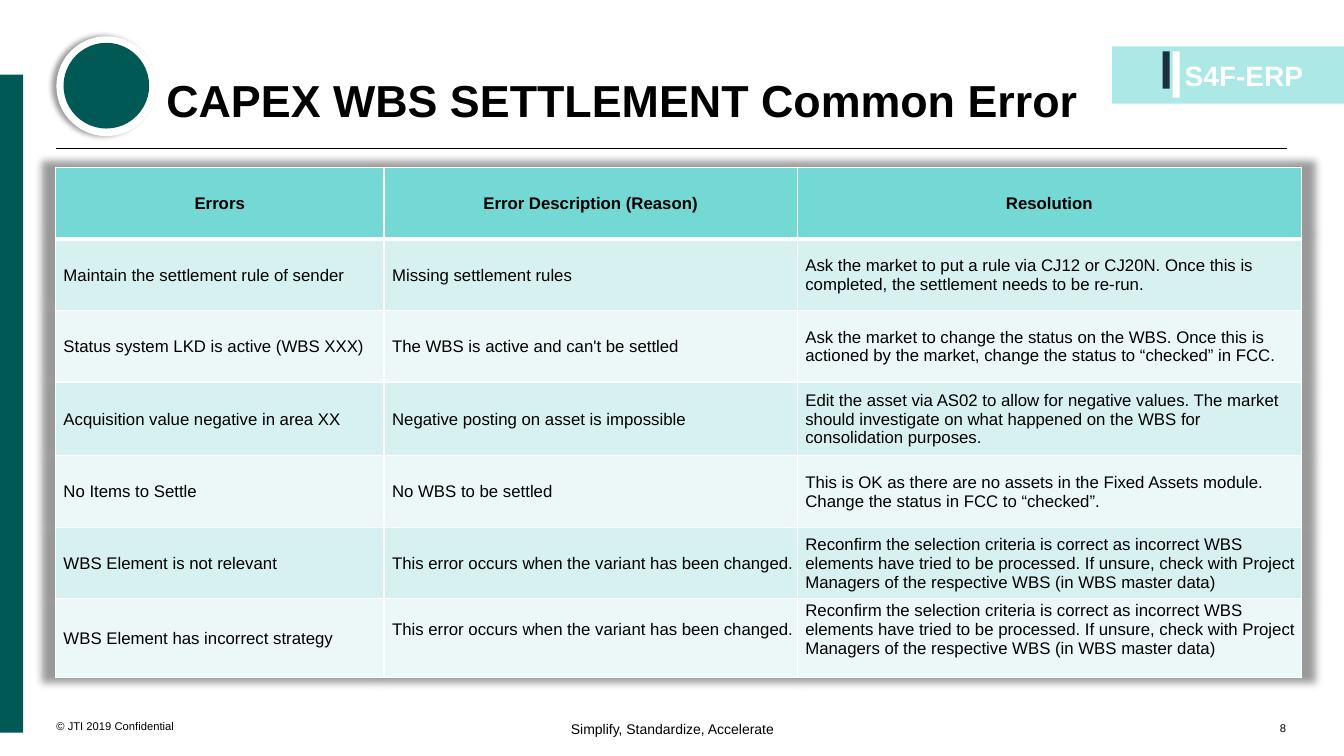
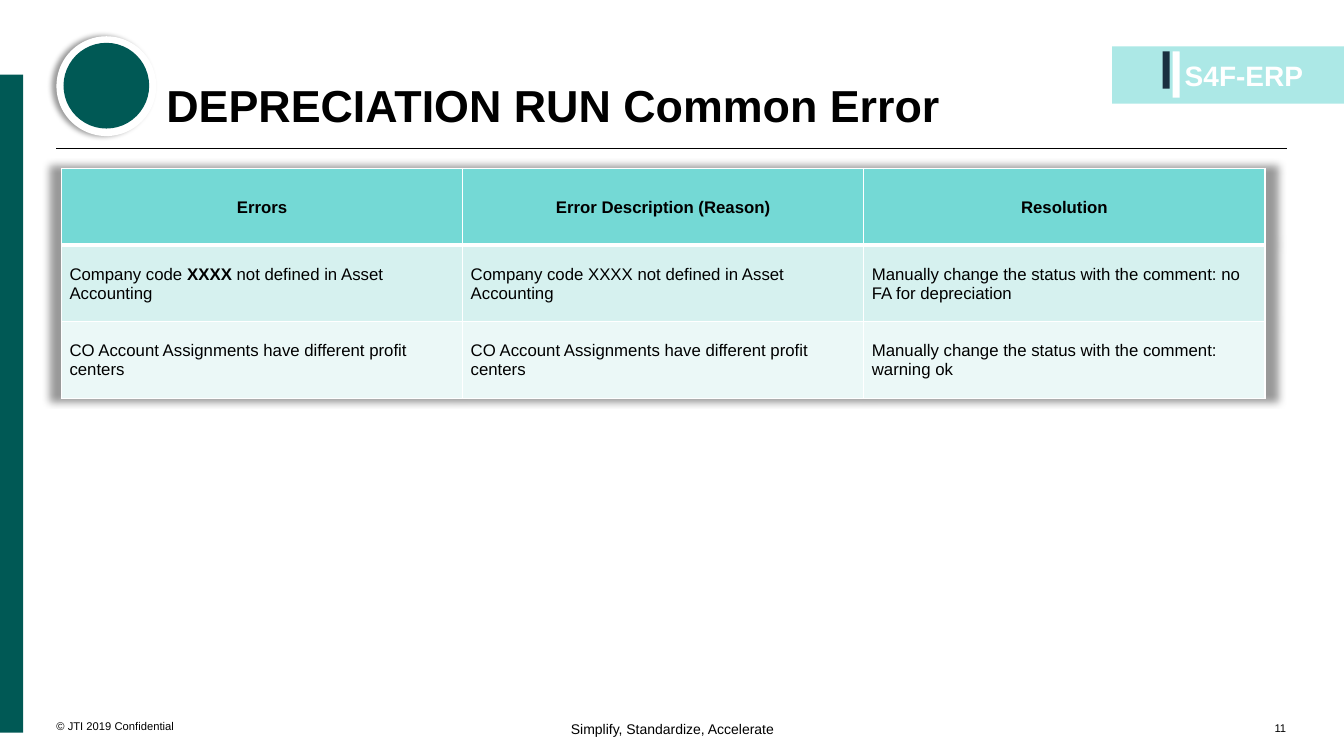
import collections

import pptx
import pptx.dml.color
import pptx.enum.shapes
import pptx.enum.text
import pptx.oxml
import pptx.oxml.ns
import pptx.util

RGBColor = pptx.dml.color.RGBColor
SHAPE = pptx.enum.shapes.MSO_SHAPE
ANCHOR = pptx.enum.text.MSO_ANCHOR
ALIGN = pptx.enum.text.PP_ALIGN

BLACK = RGBColor(0x00, 0x00, 0x00)
WHITE = RGBColor(0xFF, 0xFF, 0xFF)
GREEN = RGBColor(0x00, 0x59, 0x55)
NAVY = RGBColor(0x1A, 0x30, 0x40)
AQUA = RGBColor(0xAC, 0xE8, 0xE6)
HEADER = RGBColor(0x74, 0xD9, 0xD5)
BANDS = (RGBColor(0xD6, 0xF1, 0xEF), RGBColor(0xEB, 0xF8, 0xF7))

FONT = "Arial"
COLS, ROWS = 133.33, 75
UNIT = pptx.util.Inches(0.1)
HEADINGS = ("Errors", "Error Description (Reason)", "Resolution")
VARIANT = "This error occurs when the variant has been changed."
RECONFIRM = (
    "Reconfirm the selection criteria is correct as incorrect WBS elements have tried "
    "to be processed. If unsure, check with Project Managers of the respective WBS "
    "(in WBS master data)"
)
CAPEX = (
    ("Maintain the settlement rule of sender", "Missing settlement rules",
     "Ask the market to put a rule via CJ12 or CJ20N. Once this is completed, "
     "the settlement needs to be re-run."),
    ("Status system LKD is active (WBS XXX)", "The WBS is active and can't be settled",
     "Ask the market to change the status on the WBS. Once this is actioned by the "
     "market, change the status to “checked” in FCC."),
    ("Acquisition value negative in area XX", "Negative posting on asset is impossible",
     "Edit the asset via AS02 to allow for negative values. The market should "
     "investigate on what happened on the WBS for consolidation purposes."),
    ("No Items to Settle", "No WBS to be settled",
     "This is OK as there are no assets in the Fixed Assets module. "
     "Change the status in FCC to “checked”."),
    ("WBS Element is not relevant", VARIANT, RECONFIRM),
    ("WBS Element has incorrect strategy", VARIANT, RECONFIRM),
)
DEPRECIATION = (
    ("Company code **XXXX** not defined in Asset Accounting",
     "Company code XXXX not defined in Asset Accounting",
     "Manually change the status with the comment: no FA for depreciation"),
    ("CO Account Assignments have different profit centers",
     "CO Account Assignments have different profit centers",
     "Manually change the status with the comment: warning ok"),
)


class Box(collections.namedtuple("Box", "x y w h")):
    """A rectangle in grid columns and rows."""

    def inner(self, x, y, w, h):
        """Return a box offset from this one's corner."""
        return Box(self.x + x, self.y + y, w, h)

    def emu(self):
        """Return left, top, width and height as lengths."""
        return [pptx.util.Emu(round(v * UNIT)) for v in self]


def xml(tag, attrs="", content=""):
    """Build one drawing element."""
    ns = pptx.oxml.ns.nsdecls("a")
    return pptx.oxml.parse_xml(f"<a:{tag} {ns} {attrs}>{content}</a:{tag}>")


def shadow(attrs):
    """Build a soft black shadow effect."""
    color = '<a:srgbClr val="000000"><a:alpha val="40000"/></a:srgbClr>'
    return xml("effectLst", "", f'<a:outerShdw {attrs} rotWithShape="0">{color}</a:outerShdw>')


def style(p, size, color=BLACK, bold=False, align=ALIGN.LEFT):
    """Set the font and alignment of a paragraph."""
    p.alignment = align
    p.font.name, p.font.size, p.font.bold = FONT, pptx.util.Pt(size), bold
    p.font.color.rgb = color


def add_shape(s, kind, box, color):
    """Add a plain filled shape."""
    sp = s.shapes.add_shape(kind, *box.emu())
    sp.shadow.inherit = False
    sp.fill.solid()
    sp.fill.fore_color.rgb = color
    sp.line.fill.background()
    return sp


def add_text(s, box, text, size, anchor=ANCHOR.TOP, **look):
    """Add a text box without margins and return its paragraph."""
    tf = s.shapes.add_textbox(*box.emu()).text_frame
    tf.word_wrap, tf.vertical_anchor = True, anchor
    tf.margin_left = tf.margin_top = tf.margin_right = tf.margin_bottom = 0
    p = tf.paragraphs[0]
    style(p, size, **look)
    p.add_run().text = text
    return p


def add_badge(s, box):
    """Draw the programme label at the top right."""
    add_shape(s, SHAPE.RECTANGLE, box, AQUA)
    add_shape(s, SHAPE.RECTANGLE, box.inner(5, 0.5, 0.7, 3.7), NAVY)
    bar = add_shape(s, SHAPE.ROUNDED_RECTANGLE, box.inner(6, 0.5, 0.7, 4.6), WHITE)
    bar.adjustments[0] = 0.07
    add_text(s, box.inner(7.2, 1.2, 12.5, 5), "S4F-ERP", 20, color=WHITE, bold=True)


def add_medallion(s, box):
    """Draw the ringed circle beside the title."""
    ring = add_shape(s, SHAPE.OVAL, box, WHITE)
    sp_pr = ring._element.spPr
    sp_pr.replace(sp_pr.find(pptx.oxml.ns.qn("a:effectLst")),
                  shadow('blurRad="50800" dist="38100" dir="10800000" algn="r"'))
    add_shape(s, SHAPE.OVAL, box.inner(0.7, 0.65, 8.5, 8.5), GREEN)


def add_footer(s, box, number):
    """Place the copyright line, motto and slide number."""
    add_text(s, box.inner(0, 0, 19.7, 4), "© JTI 2019 Confidential", 8, ANCHOR.BOTTOM)
    add_text(s, box.inner(45.8, 2.8, 30.6, 3), "Simplify, Standardize, Accelerate", 10,
             align=ALIGN.CENTER)
    add_text(s, box.inner(box.w - 4.3, 0.2, 4.3, 4), str(number), 8, ANCHOR.BOTTOM,
             align=ALIGN.RIGHT)


def add_frame(s, box, number):
    """Draw everything the slides share."""
    add_footer(s, box.inner(5.6, 68.7, 122, 4), number)
    x, y, w, _ = box.inner(5.6, 14.7, 122.1, 0).emu()
    line = s.shapes.add_connector(pptx.enum.shapes.MSO_CONNECTOR.STRAIGHT, x, y, x + w, y)
    line.line.color.rgb, line.line.width = BLACK, pptx.util.Pt(0.75)
    line._element.spPr.append(xml("effectLst"))
    add_badge(s, box.inner(box.w - 23, 4.6, 23, 5.7))
    add_shape(s, SHAPE.RECTANGLE, box.inner(0, 7.4, 2.3, 65.3), GREEN)
    add_medallion(s, box.inner(5.6, 3.6, 9.9, 9.9))


def add_borders(cell, top, bottom):
    """Give a cell white borders of the given top and bottom widths."""
    fill = f'<a:solidFill><a:srgbClr val="{WHITE}"/></a:solidFill>'
    widths = (("lnL", 1), ("lnR", 1), ("lnT", top), ("lnB", bottom))
    for i, (tag, pt) in enumerate(widths):
        cell._tc.get_or_add_tcPr().insert(i, xml(tag, f'w="{pptx.util.Pt(pt)}"', fill))


def fill_cell(cell, text, row):
    """Write and style one cell; double asterisks switch bold."""
    head = row == 0
    cell.vertical_anchor = ANCHOR.MIDDLE
    cell.margin_left = pptx.util.Inches(0.01 if head else 0.08)
    cell.margin_top = cell.margin_right = pptx.util.Inches(0.01)
    cell.margin_bottom = 0
    cell.fill.solid()
    cell.fill.fore_color.rgb = HEADER if head else BANDS[(row - 1) % 2]
    add_borders(cell, 3 if row == 1 else 1, 3 if head else 1)
    p = cell.text_frame.paragraphs[0]
    style(p, 12, bold=head, align=ALIGN.CENTER if head else ALIGN.LEFT)
    for i, piece in enumerate(text.split("**")):
        r = p.add_run()
        r.text = piece
        if i % 2:
            r.font.bold = True


def add_error_table(s, box, widths, heights, rows):
    """Add the table of errors, reasons and resolutions."""
    table = s.shapes.add_table(len(heights), len(widths), *box.emu()).table
    table._tbl.tblPr.insert(0, shadow('blurRad="63500" sx="102000" sy="102000" algn="ctr"'))
    for column, w in zip(table.columns, widths):
        column.width = round(w * UNIT)
    for row, h in zip(table.rows, heights):
        row.height = round(h * UNIT)
    for y, texts in enumerate((HEADINGS, *rows)):
        for x, text in enumerate(texts):
            fill_cell(table.cell(y, x), text, y)
    return table


def add_error_slide(prs, number, title, title_top, corner, widths, heights, rows):
    """Build one slide of common errors and return its table."""
    s = prs.slides.add_slide(prs.slide_layouts[6])
    page = Box(0, 0, COLS, ROWS)
    add_frame(s, page, number)
    p = add_text(s, page.inner(16.5, title_top, 97.4, 10.8), title, 32, ANCHOR.BOTTOM, bold=True)
    p.line_spacing = 0.9
    return add_error_table(s, page.inner(*corner, sum(widths), sum(heights)),
                           widths, heights, rows)


def main():
    """Build and save the presentation."""
    prs = pptx.Presentation()
    prs.slide_width, prs.slide_height = round(COLS * UNIT), round(ROWS * UNIT)
    table = add_error_slide(prs, 8, "CAPEX WBS SETTLEMENT Common Error", 1.8, (5.5, 16.6),
                            (32.6, 41, 50), (7.1, 7.1, 7.1, 7.3, 7.1, 7.1, 7.5), CAPEX)
    for x in (1, 2):
        table.cell(len(CAPEX), x).margin_bottom = pptx.util.Inches(0.17)
    add_error_slide(prs, 11, "DEPRECIATION RUN Common Error", 2.3, (6.1, 16.7),
                    (39.8,) * 3, (7.6,) * 3, DEPRECIATION)
    prs.save("out.pptx")


if __name__ == "__main__":
    main()
